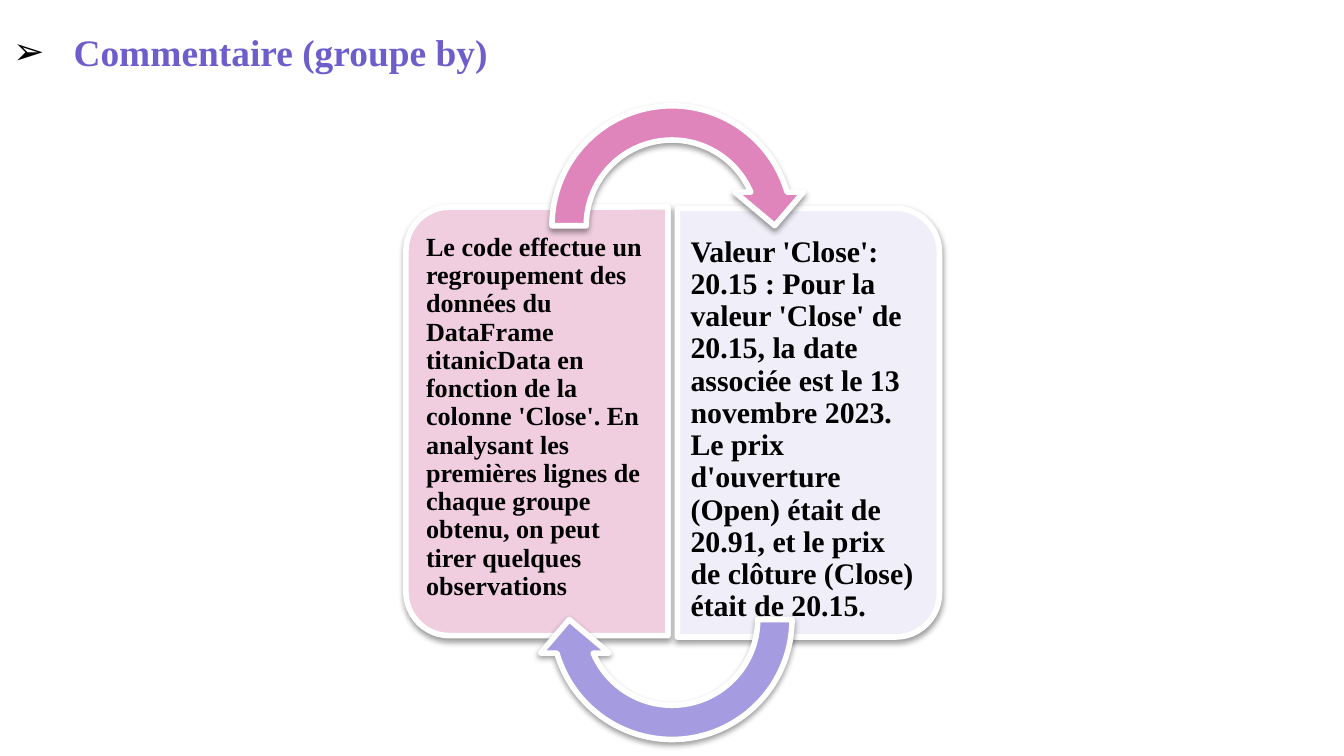
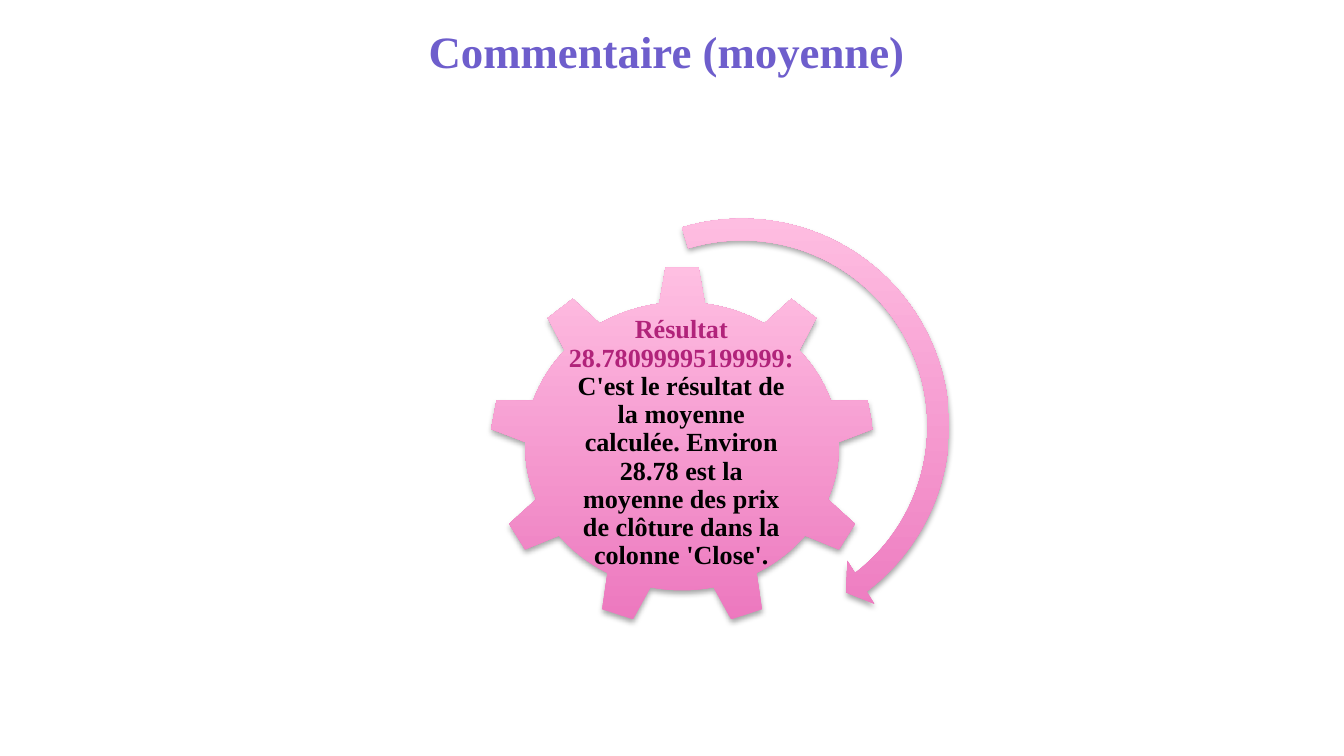
from dataclasses import dataclass
from lxml.etree import SubElement
from pptx import Presentation
from pptx.dml.color import RGBColor
from pptx.enum.shapes import MSO_SHAPE
from pptx.enum.text import MSO_ANCHOR, PP_ALIGN
from pptx.oxml.ns import qn
from pptx.util import Inches, Pt


@dataclass(frozen=True)
class Theme:
    font: str = "Times New Roman"
    title: str = "6E5ECC"
    ink: str = "000000"
    accent: str = "B1237A"
    outline: str = "FFFFFF"
    gradient: tuple = ("EC77BE", "FFBFE2")
    title_sizes: tuple = (20, 24)
    body_size: float = 14
    large_body_size: float = 16
    outline_width: float = 3
    line_spacing: float = 0.9
    shadow_blur: float = 3.1


THEME = Theme()
PAGE_WIDTH = 10
TITLE_MARGINS = (0.1, 0.1, 0.1, 0.1)

# Slide 1: two facing cards, each with its text and its arrow
CARD_LENGTH, CARD_DEPTH = 3.19, 1.95  # before the quarter turn
CARDS = [
    {"text": "Le code effectue un regroupement des données du DataFrame titanicData "
             "en fonction de la colonne 'Close'. En analysant les premières lignes de "
             "chaque groupe obtenu, on peut tirer quelques observations",
     "size": THEME.body_size, "corner": (2.4, 2.16), "turn": 270, "fill": "F0CEE0",
     "text_at": (3.11, 1.64, 1.85, 3), "margins": (0.06, 0.1, 0.09, 0.1)},
    {"text": "Valeur 'Close': 20.15 : Pour la valeur 'Close' de 20.15, la date "
             "associée est le 13 novembre 2023. Le prix d'ouverture (Open) était de "
             "20.91, et le prix de clôture (Close) était de 20.15.",
     "size": THEME.large_body_size, "corner": (4.42, 2.17), "turn": 90,
     "fill": "F0EFF9",
     "text_at": (5.04, 1.65, 1.85, 3), "margins": (0.1, 0.11, 0.07, 0.11)},
]
CYCLE_ARROWS = [(0.66, 0, "DF85BB"), (3.59, 180, "A59BE0")]  # top, turn, fill
CYCLE_SHAPE = (0.125, 11.42, 204.58, 108, 0.125)

# Slide 2: a gear with a sweeping arrow
GEAR_TEXT = [
    ("Résultat 28.78099995199999:", THEME.accent),
    (" C'est le résultat de la moyenne calculée. Environ 28.78 est la moyenne "
     "des prix de clôture dans la colonne 'Close'.", THEME.ink),
]
SWEEP_SHAPE = (0.049, 3.13, 31.63, 151.94, 0.057)


def rgb(value):
    return RGBColor.from_string(value)


def add_text(page, at, spans, size, margins, align=PP_ALIGN.LEFT,
             anchor=MSO_ANCHOR.TOP, spacing=None):
    box = page.shapes.add_textbox(*map(Inches, at))
    frame = box.text_frame
    frame.word_wrap = True
    frame.vertical_anchor = anchor
    (frame.margin_left, frame.margin_top,
     frame.margin_right, frame.margin_bottom) = map(Inches, margins)
    para = frame.paragraphs[0]
    para.alignment = align
    para.line_spacing = spacing
    for text, color in spans:
        span = para.add_run()
        span.text = text
        span.font.name = THEME.font
        span.font.size = Pt(size)
        span.font.bold = True
        span.font.color.rgb = rgb(color)
    return para


def add_title(page, text, size, height, align=PP_ALIGN.LEFT):
    return add_text(page, (0, 0, PAGE_WIDTH, height), [(text, THEME.title)], size,
                    TITLE_MARGINS, align, MSO_ANCHOR.MIDDLE)


def add_bullet(para, symbol, indent):
    props = para._p.get_or_add_pPr()
    props.set("marL", str(Inches(indent)))
    props.set("indent", str(-Inches(indent)))
    color = SubElement(props, qn("a:buClr"))
    SubElement(color, qn("a:srgbClr"), val=THEME.ink)
    SubElement(props, qn("a:buFont"), typeface="Arial")
    SubElement(props, qn("a:buChar"), char=symbol)


def add_shadow(shape, distance, opacity):
    shape.shadow.inherit = False
    effects = shape._element.spPr.find(qn("a:effectLst"))
    shadow = SubElement(effects, qn("a:outerShdw"), blurRad=str(Pt(THEME.shadow_blur)),
                        dist=str(Pt(distance)), dir="5400000", rotWithShape="0")
    color = SubElement(shadow, qn("a:srgbClr"), val=THEME.ink)
    SubElement(color, qn("a:alpha"), val=str(opacity * 1000))


def add_part(page, kind, at, adjustments=(), turn=0):
    shape = page.shapes.add_shape(kind, *map(Inches, at))
    shape.rotation = turn
    for index, value in enumerate(adjustments):
        shape.adjustments[index] = value
    return shape


def add_outlined(page, kind, at, adjustments, turn, fill):
    shape = add_part(page, kind, at, adjustments, turn)
    shape.fill.solid()
    shape.fill.fore_color.rgb = rgb(fill)
    shape.line.color.rgb = rgb(THEME.outline)
    shape.line.width = Pt(THEME.outline_width)
    add_shadow(shape, 1.6, 38)


def add_gradient(page, kind, at, adjustments=()):
    shape = add_part(page, kind, at, adjustments)
    shape.fill.gradient()
    shape.fill.gradient_angle = 90
    for stop, color in zip(shape.fill.gradient_stops, THEME.gradient):
        stop.color.rgb = rgb(color)
    shape.line.fill.background()
    add_shadow(shape, 1.8, 35)


def build_group_by(page):
    para = add_title(page, " Commentaire (groupe by)", THEME.title_sizes[0], 0.77)
    add_bullet(para, "➢", 0.38)
    for card in CARDS:
        add_outlined(page, MSO_SHAPE.ROUND_2_SAME_RECTANGLE,
                     (*card["corner"], CARD_LENGTH, CARD_DEPTH), (0.167, 0),
                     card["turn"], card["fill"])
        add_text(page, card["text_at"], [(card["text"], THEME.ink)], card["size"],
                 card["margins"], spacing=THEME.line_spacing)
    for top, turn, fill in CYCLE_ARROWS:
        add_outlined(page, MSO_SHAPE.CIRCULAR_ARROW, (3.98, top, 2.04, 2.04),
                     CYCLE_SHAPE, turn, fill)


def build_mean(page):
    add_title(page, "Commentaire (moyenne) ", THEME.title_sizes[1], 0.75,
              PP_ALIGN.CENTER)
    add_gradient(page, MSO_SHAPE.GEAR_9, (3.64, 1.98, 2.87, 2.68))
    add_text(page, (4.2, 2.61, 1.74, 1.38), GEAR_TEXT, THEME.body_size, (0.02,) * 4,
             PP_ALIGN.CENTER, MSO_ANCHOR.MIDDLE, THEME.line_spacing)
    add_gradient(page, MSO_SHAPE.CIRCULAR_ARROW, (3.87, 1.52, 3.3, 3.3), SWEEP_SHAPE)


def main():
    deck = Presentation()
    deck.slide_width = Inches(PAGE_WIDTH)
    deck.slide_height = Inches(PAGE_WIDTH * 9 / 16)
    for build in (build_group_by, build_mean):
        build(deck.slides.add_slide(deck.slide_layouts[6]))
    deck.save("out.pptx")


if __name__ == "__main__":
    main()
